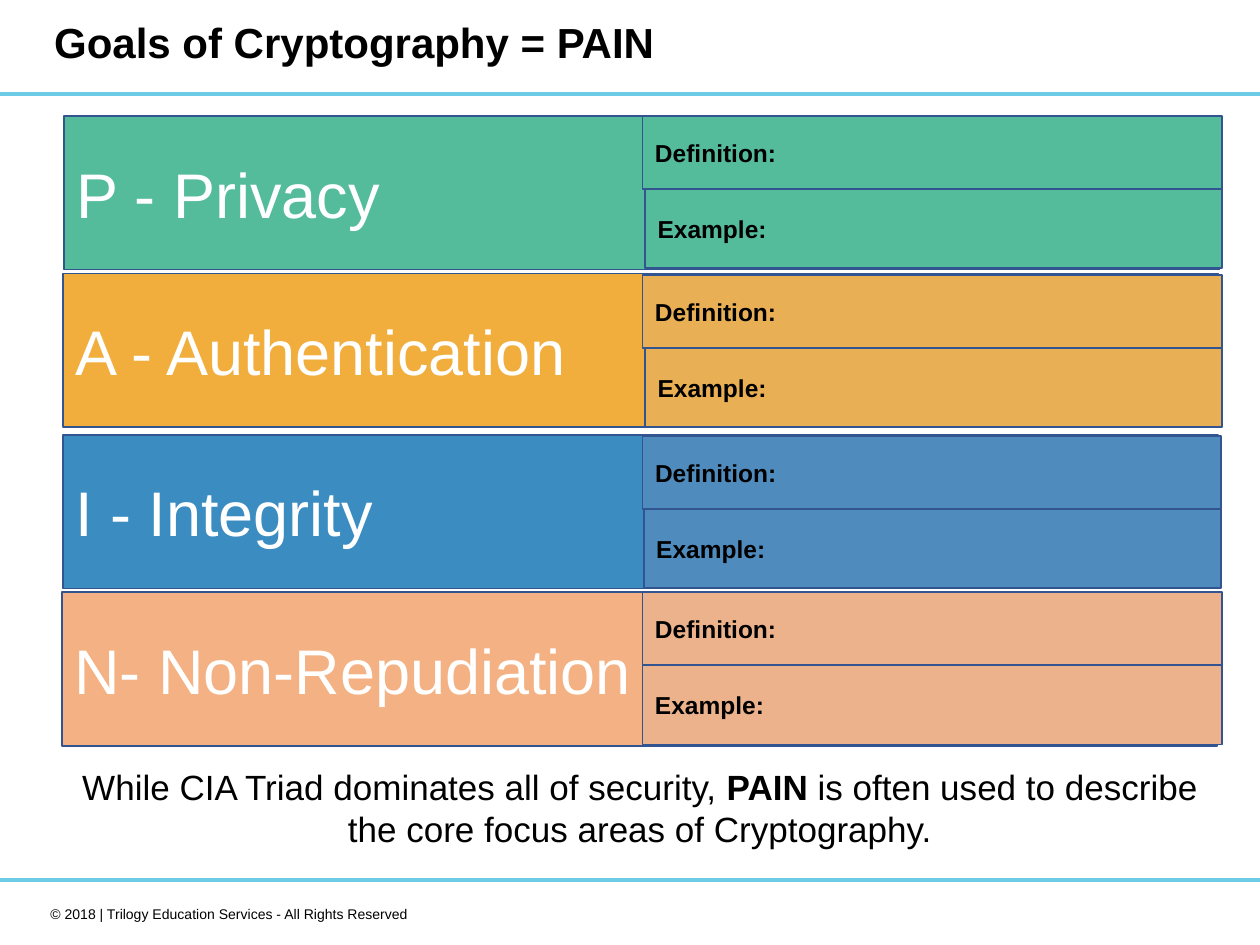
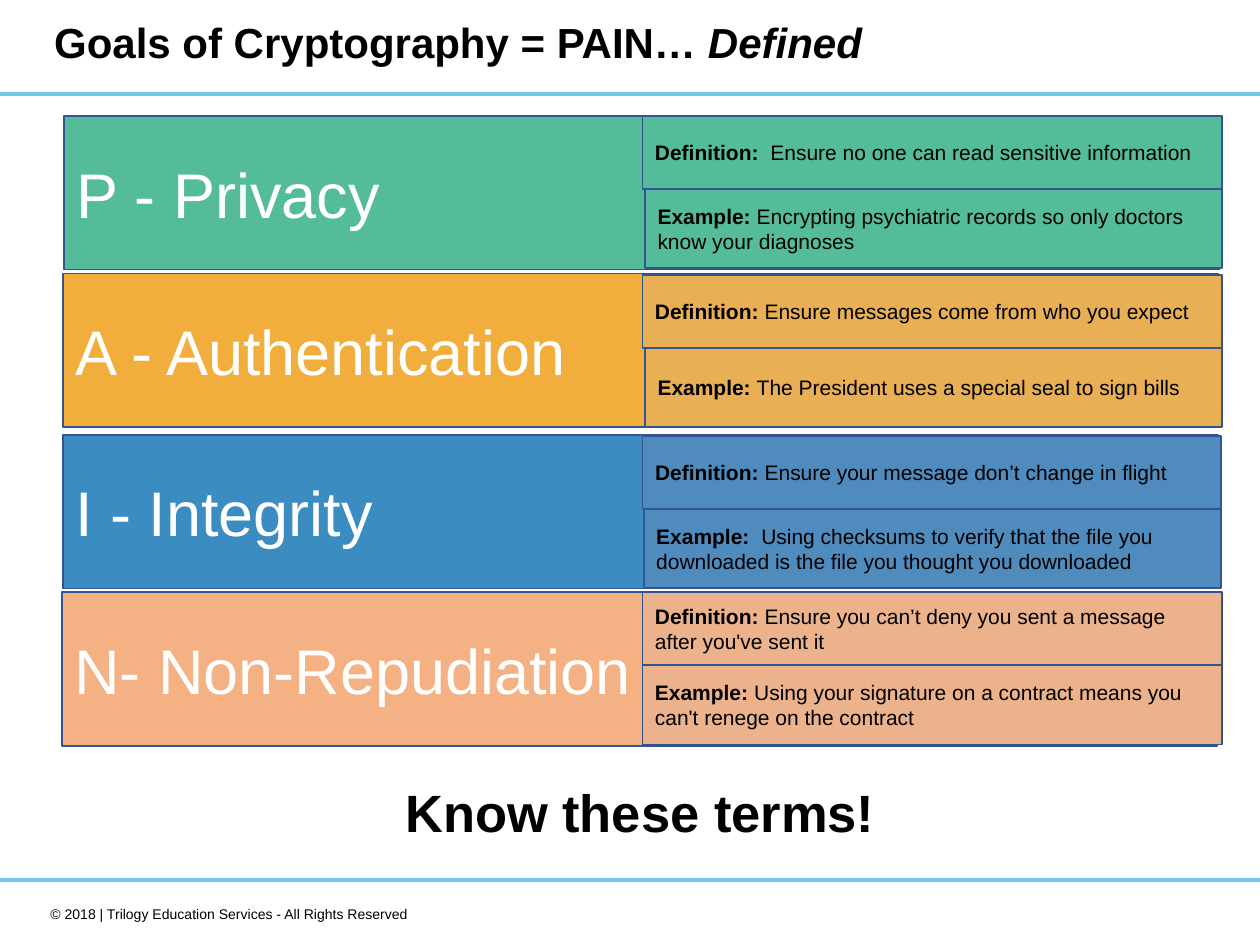
import pptx
import pptx.util
import pptx.dml.color
import pptx.enum.shapes
import pptx.enum.text
from pptx.util import Inches

COLORS = {
    "band": "6CCCE6", "outline": "325491", "ink": "000000", "white": "FFFFFF",
    "green": "55BC9B", "orange": "F1AE3D", "orange cell": "E8AF54",
    "blue": "3A8CC1", "blue cell": "4F8BBC",
    "peach": "F4B183", "peach cell": "EBB28B",
}
FONT = "Arial"
FOOTER = "© 2018 | Trilogy Education Services - All Rights Reserved"
SHAPE = pptx.enum.shapes.MSO_SHAPE
ALIGN = pptx.enum.text.PP_ALIGN
ANCHOR = pptx.enum.text.MSO_ANCHOR

# Goal, bar colour, cell colour, bar left and top, example left, cell top and right
GOALS = [
    ("P - Privacy", "green", "green", 0.51, 0.92, 5.12, 0.92, 9.7),
    ("A - Authentication", "orange", "orange cell", 0.5, 2.17, 5.12, 2.18, 9.7),
    ("I - Integrity", "blue", "blue cell", 0.5, 3.45, 5.11, 3.46, 9.69),
    ("N- Non-Repudiation", "peach", "peach cell", 0.49, 4.7, 5.1, 4.7, 9.7),
]
BAR_WIDTH, BAR_HEIGHT = 9.17, 1.22
DEFINITION_LEFT, DEFINITION_HEIGHT, EXAMPLE_HEIGHT = 5.1, 0.58, 0.63

# Definition and example of each goal, as (label, words)
BLANK_TERMS = [(("Definition:", ""), ("Example:", ""))] * len(GOALS)
DEFINED_TERMS = [
    (("Definition:  ", "Ensure no one can read sensitive information"),
     ("Example: ", "Encrypting psychiatric records so only doctors know your diagnoses")),
    (("Definition: ", "Ensure messages come from who you expect"),
     ("Example: ", "The President uses a special seal to sign bills")),
    (("Definition: ", "Ensure your message don’t change in flight"),
     ("Example:  ", "Using checksums to verify that the file you downloaded "
                    "is the file you thought you downloaded")),
    (("Definition: ", "Ensure you can’t deny you sent a message after you've sent it"),
     ("Example: ", "Using your signature on a contract means you can't renege on the contract")),
]


def rgb(name):
    return pptx.dml.color.RGBColor.from_string(COLORS[name])


def write(para, text, size=12, color="ink", bold=False, italic=False):
    """Add one formatted span to a paragraph."""
    span = para.add_run()
    span.text = text
    span.font.name = FONT
    span.font.size = pptx.util.Pt(size)
    span.font.color.rgb = rgb(color)
    span.font.bold = bold
    span.font.italic = italic


class PageBuilder:
    """Holds the deck, its style and the current slide."""

    def __init__(self):
        self.deck = pptx.Presentation()
        self.deck.slide_width = Inches(10)
        self.deck.slide_height = Inches(7.5)
        self.page = None

    def start_page(self):
        """Add a slide with the shared bands and footer."""
        self.page = self.deck.slides.add_slide(self.deck.slide_layouts[5])
        self.rectangle(-0.01, 6.97, 10.01, 0.03, "band", kind=SHAPE.FLOWCHART_PROCESS)
        self.rectangle(0, 0.73, 10.01, 0.03, "band", kind=SHAPE.FLOWCHART_PROCESS)
        write(self.text_box(0.17, 7.14, 3.17, 0.24, ALIGN.RIGHT), FOOTER, size=8)

    def title(self, text, emphasis=""):
        box = self.page.shapes.title
        box.left, box.top = Inches(0.33), Inches(0)
        box.width, box.height = Inches(9.5), Inches(0.72)
        frame = box.text_frame
        frame.auto_size = pptx.enum.text.MSO_AUTO_SIZE.NONE
        frame.vertical_anchor = ANCHOR.MIDDLE
        para = frame.paragraphs[0]
        para.alignment = ALIGN.LEFT
        para.line_spacing = 0.9
        write(para, text, size=24, bold=True)
        if emphasis:
            write(para, emphasis, size=24, bold=True, italic=True)

    def rectangle(self, left, top, width, height, fill, line=None, kind=SHAPE.RECTANGLE):
        """Draw a filled shape and return its left-aligned paragraph."""
        box = self.page.shapes.add_shape(
            kind, Inches(left), Inches(top), Inches(width), Inches(height))
        box.shadow.inherit = False
        box.fill.solid()
        box.fill.fore_color.rgb = rgb(fill)
        if line:
            box.line.color.rgb = rgb(line)
            box.line.width = pptx.util.Pt(1)
        else:
            box.line.fill.background()
        box.text_frame.vertical_anchor = ANCHOR.MIDDLE
        para = box.text_frame.paragraphs[0]
        para.alignment = ALIGN.LEFT
        return para

    def text_box(self, left, top, width, height, alignment):
        box = self.page.shapes.add_textbox(
            Inches(left), Inches(top), Inches(width), Inches(height))
        box.text_frame.word_wrap = True
        para = box.text_frame.paragraphs[0]
        para.alignment = alignment
        return para

    def term_cell(self, left, top, right, height, fill, term, size):
        label, words = term
        para = self.rectangle(left, top, right - left, height, fill, "outline")
        write(para, label, size=size, bold=True)
        if words:
            write(para, words, size=size)

    def goal_rows(self, terms, size):
        """Draw a coloured bar per goal with its definition and example."""
        for goal, (definition, example) in zip(GOALS, terms):
            name, fill, cell_fill, left, top, example_left, cell_top, right = goal
            bar = self.rectangle(left, top, BAR_WIDTH, BAR_HEIGHT, fill, "outline")
            write(bar, name, size=36, color="white")
            self.term_cell(DEFINITION_LEFT, cell_top, right, DEFINITION_HEIGHT,
                           cell_fill, definition, size)
            self.term_cell(example_left, cell_top + DEFINITION_HEIGHT, right,
                           EXAMPLE_HEIGHT, cell_fill, example, size)


def main():
    builder = PageBuilder()

    # Goals with blank terms
    builder.start_page()
    builder.title("Goals of Cryptography = PAIN")
    builder.goal_rows(BLANK_TERMS, size=14)
    summary = builder.text_box(0.33, 6.03, 9.5, 0.77, ALIGN.CENTER)
    write(summary, "While CIA Triad dominates all of security, ", size=20)
    write(summary, "PAIN ", size=20, bold=True)
    write(summary, "is often used to describe the core focus areas of Cryptography.", size=20)

    # Goals with their terms defined
    builder.start_page()
    builder.title("Goals of Cryptography = PAIN… ", emphasis="Defined")
    builder.goal_rows(DEFINED_TERMS, size=12)
    reminder = builder.text_box(0.33, 6.14, 9.5, 0.61, ALIGN.CENTER)
    write(reminder, "Know these terms!", size=30, bold=True)

    builder.deck.save("out.pptx")


if __name__ == "__main__":
    main()
